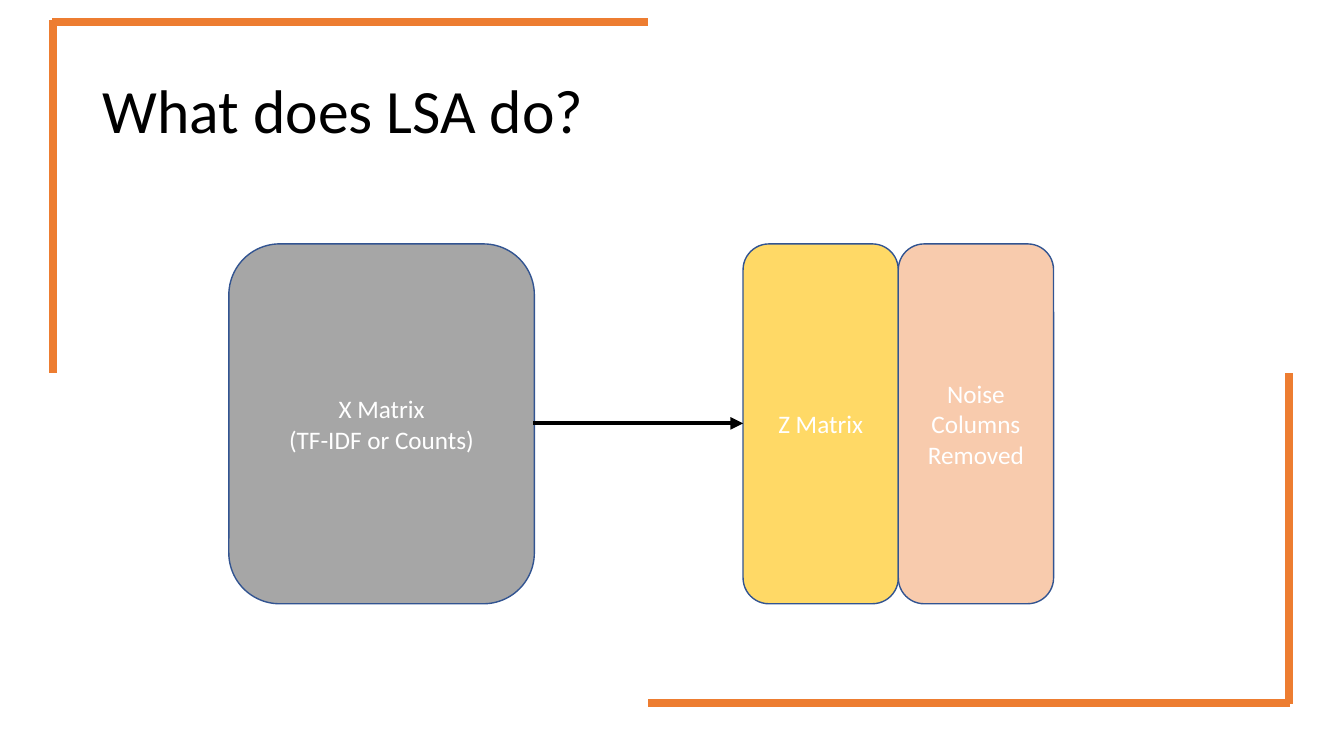
from lxml import etree
from pptx import Presentation
from pptx import util as u
from pptx.dml.color import RGBColor
from pptx.enum import shapes, text
from pptx.oxml.ns import qn


class MatrixSlide:
    """Holds the style and the current slide, and draws each kind of element."""

    colours = {
        "black": "000000", "white": "FFFFFF", "grey": "A6A6A6", "gold": "FFD966",
        "peach": "F8CBAD", "outline": "325491", "frame": "ED7D31",
    }
    font_name = "Calibri"

    def __init__(self, deck):
        self.page = deck.slides.add_slide(deck.slide_layouts[6])

    def colour(self, name):
        return RGBColor.from_string(self.colours[name])

    def label(self, box, lines, size, colour, align, spacing=1.0):
        frame = box.text_frame
        frame_format = {"word_wrap": True, "vertical_anchor": text.MSO_ANCHOR.MIDDLE}
        for name, value in frame_format.items():
            setattr(frame, name, value)
        font_format = {"name": self.font_name, "size": u.Pt(size)}
        for index, line in enumerate(lines):
            para = frame.add_paragraph() if index else frame.paragraphs[0]
            para.alignment = align
            para.line_spacing = spacing
            span = para.add_run()
            span.text = line
            for name, value in font_format.items():
                setattr(span.font, name, value)
            span.font.color.rgb = self.colour(colour)

    def title(self, line, place):
        box = self.page.shapes.add_textbox(*map(u.Inches, place))
        self.label(box, [line], 44, "black", text.PP_ALIGN.LEFT, 0.9)

    def matrix(self, lines, place, fill):
        kind = shapes.MSO_SHAPE.ROUNDED_RECTANGLE
        box = self.page.shapes.add_shape(kind, *map(u.Inches, place))
        box.shadow.inherit = False
        box.fill.solid()
        box.fill.fore_color.rgb = self.colour(fill)
        box.line.color.rgb = self.colour("outline")
        box.line.width = u.Pt(1)
        self.label(box, lines, 18, "white", text.PP_ALIGN.CENTER)

    def line(self, ends, colour, width, arrow=False):
        kind = shapes.MSO_CONNECTOR.STRAIGHT
        line = self.page.shapes.add_connector(kind, *map(u.Inches, ends))
        line.line.color.rgb = self.colour(colour)
        line.line.width = u.Pt(width)
        properties = line.element.spPr
        if arrow:
            outline = properties.find(qn("a:ln"))
            etree.SubElement(outline, qn("a:tailEnd"), type="triangle")
        etree.SubElement(properties, qn("a:effectLst"))


def main():
    deck = Presentation()
    deck.slide_width, deck.slide_height = u.Inches(13.33), u.Inches(7.5)
    slide = MatrixSlide(deck)
    slide.title("What does LSA do?", (0.92, 0.4, 11.5, 1.45))

    top, height = 2.42, 3.57
    matrices = [
        (["X Matrix", "(TF-IDF or Counts)"], 2.27, 3.03, "grey"),
        (["Z Matrix"], 7.37, 1.54, "gold"),
        (["Noise Columns Removed"], 8.91, 1.54, "peach"),
    ]
    for lines, left, width, fill in matrices:
        slide.matrix(lines, (left, top, width, height), fill)
    slide.line((5.29, 4.2, 7.37, 4.2), "black", 3, arrow=True)

    frame_lines = [
        (0.52, 0.22, 6.43, 0.22),
        (0.53, 0.2, 0.53, 3.7),
        (12.79, 6.97, 6.43, 6.97),
        (12.78, 6.98, 12.78, 3.7),
    ]
    for ends in frame_lines:
        slide.line(ends, "frame", 5.75)
    deck.save("out.pptx")


if __name__ == "__main__":
    main()
